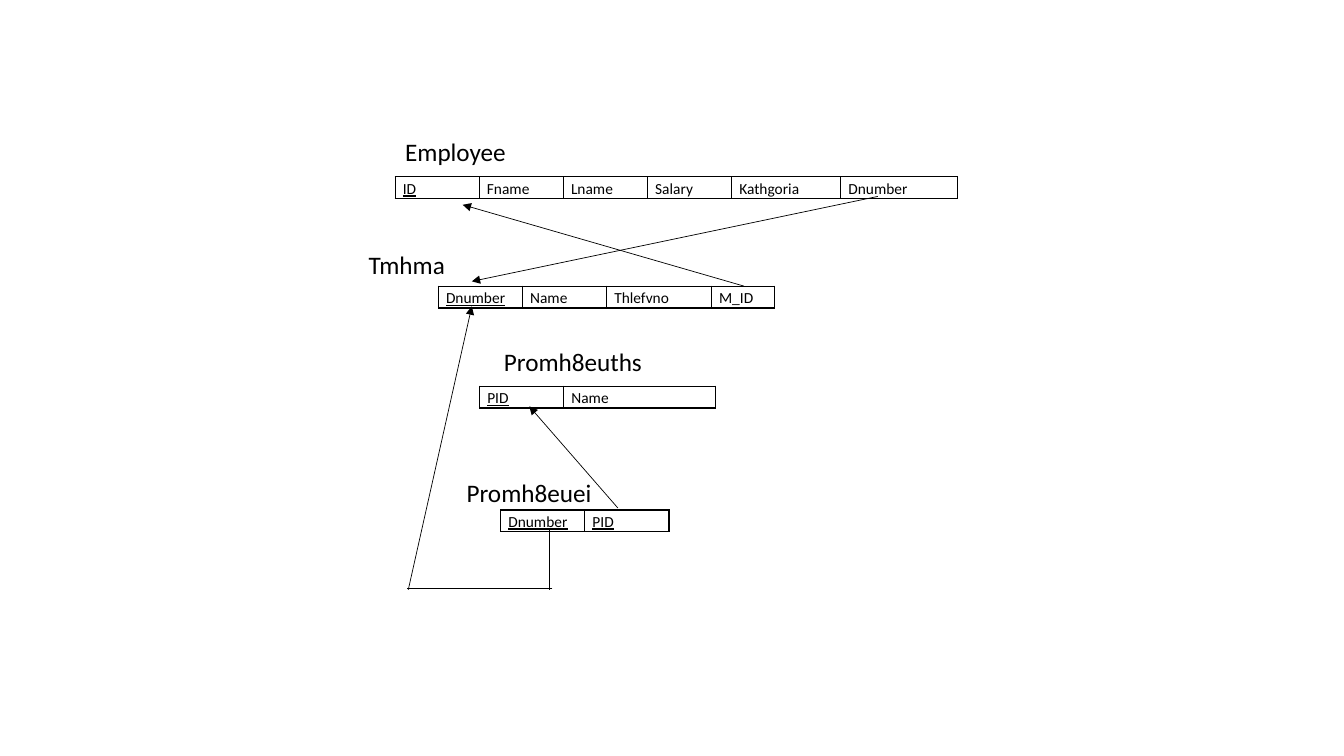
"""Build a slide with a relational schema and its foreign key arrows."""
from dataclasses import dataclass

from lxml import etree
from pptx import Presentation
from pptx.dml.color import RGBColor
from pptx.enum.shapes import MSO_CONNECTOR
from pptx.enum.text import MSO_AUTO_SIZE
from pptx.oxml.ns import qn
from pptx.util import Cm, Pt

STRAIGHT = MSO_CONNECTOR.STRAIGHT
FIT_SHAPE = MSO_AUTO_SIZE.SHAPE_TO_FIT_TEXT


@dataclass(frozen=True)
class Theme:
    """Colours, type sizes and line widths of the slide."""
    ink: str = "000000"
    font: str = "Calibri"
    title_size: int = 18
    field_size: int = 11
    border_width: float = 1
    arrow_width: float = 0.5


THEME = Theme()
ROW_HEIGHT = 0.51
KEY_WIDTH = 2.12

# Each relation: title, title box, table corner, fields as (name, width, is key).
RELATIONS = [
    ("Employee", (9.96, 3.3, 3.07, 1.02), (9.96, 4.45),
     [("ID", KEY_WIDTH, True), ("Fname", KEY_WIDTH, False),
      ("Lname", KEY_WIDTH, False), ("Salary", KEY_WIDTH, False),
      ("Kathgoria", 2.75, False), ("Dnumber", 2.93, False)]),
    ("Tmhma", (9.04, 6.17, 2.46, 1.02), (11.05, 7.21),
     [("Dnumber", KEY_WIDTH, True), ("Name", KEY_WIDTH, False),
      ("Thlefvno", 2.64, False), ("M_ID", 1.58, False)]),
    ("Promh8euths", (12.45, 8.61, 4.04, 1.8), (12.09, 9.73),
     [("PID", KEY_WIDTH, True), ("Name", 3.83, False)]),
    ("Promh8euei", (11.51, 11.91, 3.68, 1.8), (12.62, 12.85),
     [("Dnumber", KEY_WIDTH, True), ("PID", KEY_WIDTH, True)]),
]

LINKS = [
    ((15.57, 12.8), (13.34, 10.24), True),
    ((13.84, 13.36), (13.84, 14.86), False),
    ((13.92, 14.83), (10.26, 14.83), False),
    ((10.29, 14.86), (11.89, 7.72), True),
    ((18.75, 7.21), (11.66, 5.16), True),
    ((22.12, 4.95), (11.89, 7.09), True),
]


def apply_format(target, values):
    """Set every attribute named in the dict."""
    for name, value in values.items():
        setattr(target, name, value)


def write_text(paragraph, text, size, underline=False):
    """Add one run in the theme font."""
    run = paragraph.add_run()
    run.text = text
    apply_format(run.font, {"name": THEME.font, "size": Pt(size), "underline": underline})
    run.font.color.rgb = RGBColor.from_string(THEME.ink)


def add_borders(cell):
    """Draw a solid line on all four sides of a cell."""
    properties = cell._tc.get_or_add_tcPr()
    for side in ("a:lnL", "a:lnR", "a:lnT", "a:lnB"):
        line = etree.SubElement(properties, qn(side), w=str(Pt(THEME.border_width)))
        fill = etree.SubElement(line, qn("a:solidFill"))
        etree.SubElement(fill, qn("a:srgbClr"), val=THEME.ink)


def format_field(cell, name, is_key):
    """Fill one table cell with a field name, underlined for keys."""
    apply_format(cell, {"margin_left": Cm(0.19), "margin_right": Cm(0.19),
                        "margin_top": 0, "margin_bottom": 0})
    add_borders(cell)
    cell.fill.background()
    paragraph = cell.text_frame.paragraphs[0]
    apply_format(paragraph, {"line_spacing": 1.15, "space_after": Pt(10)})
    write_text(paragraph, name, THEME.field_size, is_key)


def add_relation(slide, corner, fields):
    """Add a one-row table of the fields of a relation."""
    left, top = corner
    width = sum(field_width for _, field_width, _ in fields)
    table = slide.shapes.add_table(
        1, len(fields), Cm(left), Cm(top), Cm(width), Cm(ROW_HEIGHT)).table
    apply_format(table, {"first_row": False, "horz_banding": False})
    for index, (name, field_width, is_key) in enumerate(fields):
        table.columns[index].width = Cm(field_width)
        format_field(table.cell(0, index), name, is_key)


def add_title(slide, text, box):
    """Add the name of a relation."""
    frame = slide.shapes.add_textbox(*map(Cm, box)).text_frame
    apply_format(frame, {"word_wrap": False, "auto_size": FIT_SHAPE})
    write_text(frame.paragraphs[0], text, THEME.title_size)


def add_link(slide, start, end, has_arrow):
    """Add a thin line, with an arrowhead at its end if wanted."""
    connector = slide.shapes.add_connector(STRAIGHT, *map(Cm, start + end))
    connector.line.width = Pt(THEME.arrow_width)
    connector.line.color.rgb = RGBColor.from_string(THEME.ink)
    properties = connector._element.spPr
    if has_arrow:
        etree.SubElement(properties.find(qn("a:ln")), qn("a:tailEnd"), type="triangle")
    etree.SubElement(properties, qn("a:effectLst"))


def main():
    """Build the slide and save it."""
    presentation = Presentation()
    apply_format(presentation, {"slide_width": Cm(33.87), "slide_height": Cm(19.05)})
    slide = presentation.slides.add_slide(presentation.slide_layouts[6])
    for _, _, corner, fields in RELATIONS:
        add_relation(slide, corner, fields)
    for start, end, has_arrow in LINKS:
        add_link(slide, start, end, has_arrow)
    for title, box, _, _ in RELATIONS:
        add_title(slide, title, box)
    presentation.save("out.pptx")


if __name__ == "__main__":
    main()
